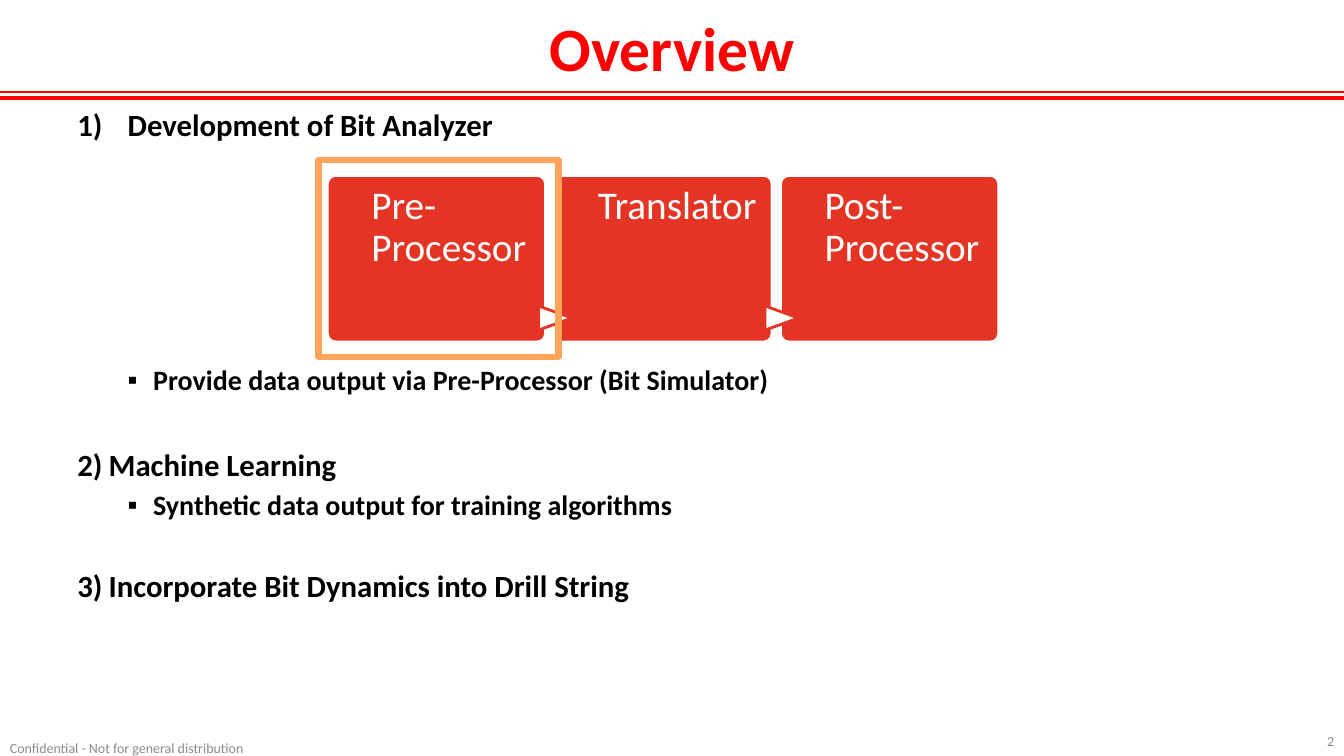
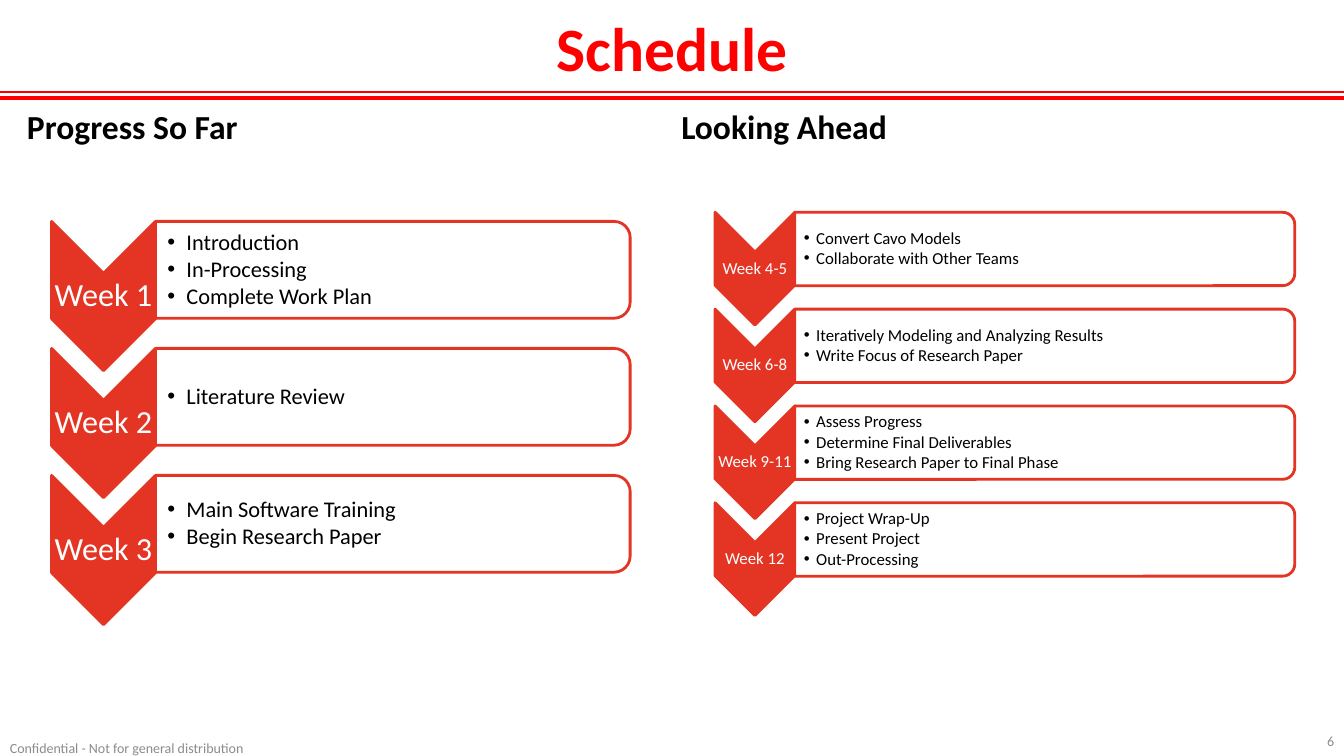
from dataclasses import dataclass

from lxml import etree
from pptx import Presentation
from pptx.dml.color import RGBColor
from pptx.enum.shapes import MSO_CONNECTOR, MSO_SHAPE
from pptx.enum.text import MSO_ANCHOR as Anchor, PP_ALIGN as Align
from pptx.oxml.ns import qn
from pptx.util import Cm, Pt


@dataclass(frozen=True)
class Theme:
    font: str = "Calibri"
    title: str = "FF0000"
    accent: str = "E43424"
    highlight: str = "FFA459"
    text: str = "000000"
    light: str = "FFFFFF"
    muted: str = "8C8C8C"
    title_size: int = 44
    heading_size: int = 24
    topic_size: int = 22
    detail_size: int = 20
    card_size: int = 28
    footer_size: int = 10


theme = Theme()


def add_box(page, place, kind=None, fill=None, line=None, weight=2, turned=False,
            insets=(0.25, 0.13, 0.25, 0.13), anchor=Anchor.TOP):
    """Add a shape, or a text box without kind; place is its visible frame in cm.

    A turned shape is rotated a quarter turn clockwise inside that frame.
    """
    left, top, width, height = place
    if turned:
        left, top = left + (width - height) / 2, top + (height - width) / 2
        width, height = height, width
    frame_cm = [Cm(length) for length in (left, top, width, height)]
    if kind is None:
        box = page.shapes.add_textbox(*frame_cm)
    else:
        box = page.shapes.add_shape(kind, *frame_cm)
        box.shadow.inherit = False
        box.rotation = 90 if turned else 0
        box.line.color.rgb = RGBColor.from_string(line)
        box.line.width = Pt(weight)
        if fill:
            box.fill.solid()
            box.fill.fore_color.rgb = RGBColor.from_string(fill)
        else:
            box.fill.background()
    frame = box.text_frame
    frame.word_wrap = True
    frame.vertical_anchor = anchor
    (frame.margin_left, frame.margin_top,
     frame.margin_right, frame.margin_bottom) = [Cm(inset) for inset in insets]
    return box


def add_para(frame, text, size, color, bold=False, align=Align.LEFT, before=0,
             after=0, spacing=1.0, marker=None, indent=(0, 0)):
    """Write the next paragraph; marker is a bullet character or a list number."""
    para = frame.add_paragraph() if frame.text else frame.paragraphs[0]
    para.text = text
    para.alignment = align
    para.space_before, para.space_after = Pt(before), Pt(after)
    para.line_spacing = spacing
    if marker:
        properties = para._p.get_or_add_pPr()
        left, hanging = indent
        properties.set("marL", str(Cm(left)))
        properties.set("indent", str(-Cm(hanging)))
        if isinstance(marker, int):
            etree.SubElement(properties, qn("a:buAutoNum"),
                             type="arabicParenR", startAt=str(marker))
        else:
            etree.SubElement(properties, qn("a:buFont"), typeface="Arial")
            etree.SubElement(properties, qn("a:buChar"), char=marker)
    para.font.name = theme.font
    para.font.size = Pt(size)
    para.font.bold = bold
    para.font.color.rgb = RGBColor.from_string(color)


deck = Presentation()
deck.slide_width, deck.slide_height = Cm(33.87), Cm(19.05)
title_only = deck.slide_layouts[5]

# Title, rules and footer of every page
pages = []
for title, number in (("Overview", "2"), ("Schedule", "6")):
    page = deck.slides.add_slide(title_only)
    pages.append(page)
    heading = page.shapes.title
    heading.left, heading.top = Cm(0), Cm(0)
    heading.width, heading.height = deck.slide_width, Cm(2.34)
    heading.text_frame.vertical_anchor = Anchor.MIDDLE
    add_para(heading.text_frame, title, theme.title_size, theme.title,
             bold=True, align=Align.CENTER)
    for height, weight in ((2.46, 3), (2.32, 1)):
        rule = page.shapes.add_connector(
            MSO_CONNECTOR.STRAIGHT, Cm(0), Cm(height), deck.slide_width, Cm(height))
        rule.line.color.rgb = RGBColor.from_string(theme.title)
        rule.line.width = Pt(weight)
        etree.SubElement(rule._element.spPr, qn("a:effectLst"))
    for text, place, align in (
        (number, (25.96, 18.29, 7.91, 0.76), Align.RIGHT),
        ("Confidential - Not for general distribution",
         (0, 18.64, 10.72, 0.41), Align.LEFT),
    ):
        footer = add_box(page, place, insets=(0.25, 0, 0.25, 0), anchor=Anchor.MIDDLE)
        add_para(footer.text_frame, text, theme.footer_size, theme.muted, align=align)

overview, schedule = pages

# Overview: numbered topics with details
topics = add_box(overview, (0.43, 2.54, 20.55, 15.72)).text_frame
for text, marker, indent, before in (
    ("Development of Bit Analyzer", 1, (2.54, 1.27), 0),
    ("Provide data output via Pre-Processor (Bit Simulator)", "▪", (3.18, 0.64), 157),
    ("Machine Learning", 2, (2.06, 0.79), 35),
    ("Synthetic data output for training algorithms", "▪", (3.18, 0.64), 4),
    ("Incorporate Bit Dynamics into Drill String", 3, (2.06, 0.79), 32),
):
    size = theme.detail_size if marker == "▪" else theme.topic_size
    add_para(topics, text, size, theme.text, bold=True, before=before,
             marker=marker, indent=indent)

# Overview: process cards
card_left, card_top, card_pitch = 8.25, 4.42, 5.71
for index, text in enumerate(("Pre-Processor", "Translator", "Post-Processor")):
    left = card_left + index * card_pitch
    card = add_box(overview, (left, card_top, 5.5, 4.2), MSO_SHAPE.ROUNDED_RECTANGLE,
                   theme.accent, theme.light, insets=(1.05, 0.2, 0.2, 0))
    card.adjustments[0] = 0.05
    add_para(card.text_frame, text, theme.card_size, theme.light, spacing=0.9)
    if index:
        add_box(overview, (left - 0.39, card_top + 3.29, 0.84, 0.61),
                MSO_SHAPE.FLOWCHART_EXTRACT, theme.light, theme.accent, turned=True)
add_box(overview, (8.03, 4.04, 6.05, 4.95), MSO_SHAPE.RECTANGLE,
        line=theme.highlight, weight=4.5)


# Schedule: two columns of weeks
@dataclass(frozen=True)
class Column:
    heading: str
    heading_left: float
    left: float
    top: float
    pitch: float
    chevron: tuple
    card: tuple
    week_size: int
    task_size: int
    task_gap: float
    task_inset: float
    task_indent: float
    weeks: dict


columns = (
    Column("Progress So Far", 0.43, 1.3, 5.58, 3.2, (2.62, 3.76), (11.96, 2.44),
           23, 16, 2, 0.3, 0.48, {
               "Week 1": ("Introduction", "In-Processing", "Complete Work Plan"),
               "Week 2": ("Literature Review",),
               "Week 3": ("Main Software Training", "Begin Research Paper"),
           }),
    Column("Looking Ahead", 16.92, 18.02, 5.35, 2.44, (2.01, 2.84), (12.6, 1.85),
           12, 12, 1.5, 0.23, 0.31, {
               "Week 4-5": ("Convert Cavo Models", "Collaborate with Other Teams"),
               "Week 6-8": ("Iteratively Modeling and Analyzing Results",
                            "Write Focus of Research Paper"),
               "Week 9-11": ("Assess Progress", "Determine Final Deliverables",
                             "Bring Research Paper to Final Phase"),
               "Week 12": ("Project Wrap-Up", "Present Project", "Out-Processing"),
           }),
)
for column in columns:
    heading = add_box(schedule, (column.heading_left, 2.54, 16.31, 1.4))
    add_para(heading.text_frame, column.heading, theme.heading_size, theme.text, bold=True)
    chevron_width, chevron_height = column.chevron
    for index, (week, tasks) in enumerate(column.weeks.items()):
        top = column.top + index * column.pitch
        add_box(schedule, (column.left, top, *column.chevron), MSO_SHAPE.CHEVRON,
                theme.accent, theme.accent, turned=True)
        label = add_box(schedule, (column.left, top + chevron_width / 2,
                                   chevron_width, chevron_height - chevron_width),
                        insets=(0, 0, 0, 0), anchor=Anchor.MIDDLE)
        add_para(label.text_frame, week, column.week_size, theme.light,
                 align=Align.CENTER, spacing=0.9)
        card_place = (column.left + chevron_width, top, *column.card)
        add_box(schedule, card_place, MSO_SHAPE.ROUND_2_SAME_RECTANGLE,
                theme.light, theme.accent, turned=True)
        task_list = add_box(schedule, card_place, anchor=Anchor.MIDDLE,
                            insets=(column.task_inset, 0.03, 0.03, 0.03))
        for task in tasks:
            add_para(task_list.text_frame, task, column.task_size, theme.text,
                     after=column.task_gap, spacing=0.9, marker="•",
                     indent=(column.task_indent, column.task_indent))

deck.save("out.pptx")
